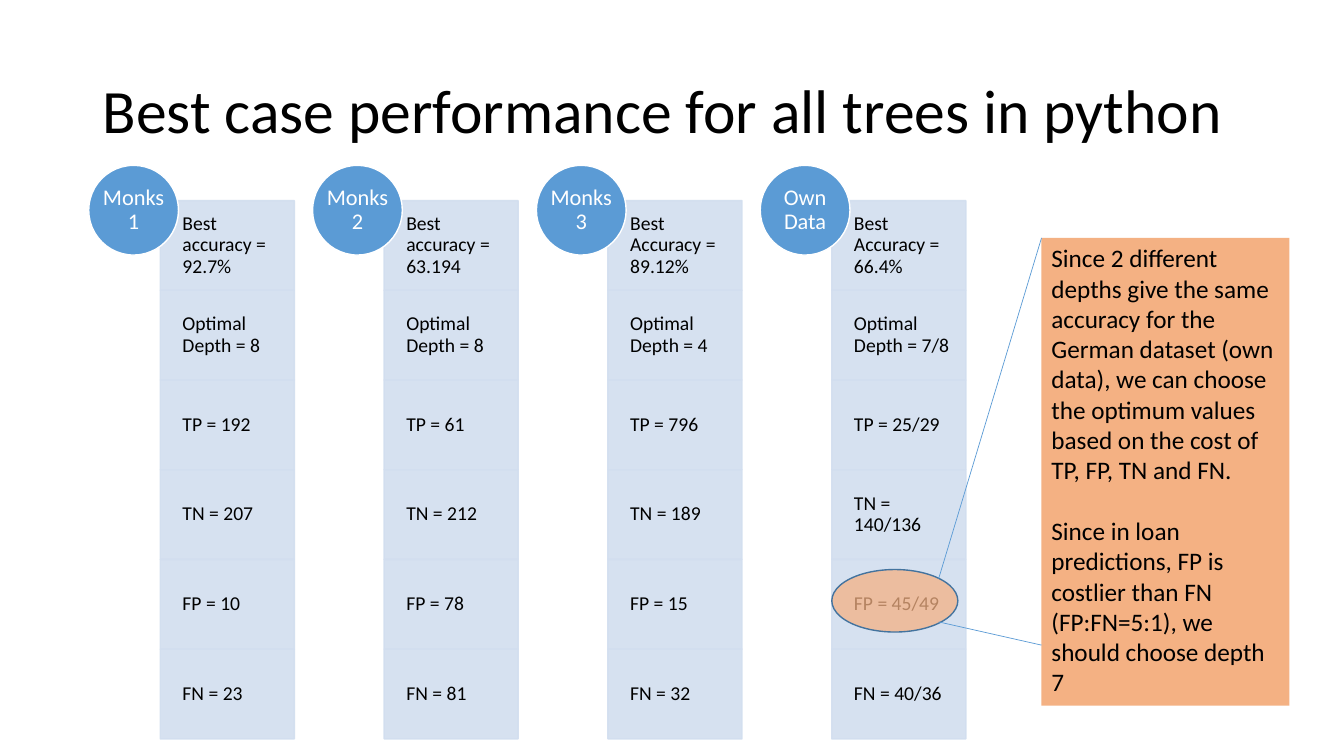
from lxml.etree import SubElement
from pptx import Presentation
from pptx.dml.color import RGBColor
from pptx.enum.shapes import MSO_CONNECTOR, MSO_SHAPE
from pptx.enum.text import MSO_ANCHOR, MSO_AUTO_SIZE, PP_ALIGN
from pptx.oxml.ns import qn
from pptx.util import Inches, Pt

BLACK = RGBColor(0x00, 0x00, 0x00)
WHITE = RGBColor(0xFF, 0xFF, 0xFF)
BLUE = RGBColor(0x5B, 0x9B, 0xD5)
DARK_BLUE = RGBColor(0x43, 0x73, 0x9E)
PALE_BLUE = RGBColor(0xD2, 0xDE, 0xEF)
ORANGE = RGBColor(0xF4, 0xB1, 0x83)

FONT = "Calibri"
GRID_LEFT, GRID_TOP = 1.59, 1.99
COLUMN_PITCH, CELL_WIDTH, ROW_HEIGHT = 2.22, 1.33, 0.89
CIRCLE_SIZE, CIRCLE_SHIFT_LEFT, CIRCLE_SHIFT_UP = 0.89, 0.71, 0.35
NOTE_LEFT, NOTE_TOP, NOTE_WIDTH, NOTE_HEIGHT = 10.33, 2.36, 2.46, 4.64

RESULTS = {
    "Monks 1": ["Best accuracy = 92.7%", "Optimal Depth = 8",
                "TP = 192", "TN = 207", "FP = 10", "FN = 23"],
    "Monks 2": ["Best accuracy = 63.194", "Optimal Depth = 8",
                "TP = 61", "TN = 212", "FP = 78", "FN = 81"],
    "Monks 3": ["Best Accuracy = 89.12%", "Optimal Depth = 4",
                "TP = 796", "TN = 189", "FP = 15", "FN = 32"],
    "Own Data": ["Best Accuracy = 66.4%", "Optimal Depth = 7/8",
                 "TP = 25/29", "TN = 140/136", "FP = 45/49", "FN = 40/36"],
}
NOTE = [
    "Since 2 different depths give the same accuracy for the German dataset "
    "(own data), we can choose the optimum values based on the cost of "
    "TP, FP, TN and FN.",
    "Since in loan predictions, FP is costlier than FN (FP:FN=5:1), "
    "we should choose depth 7",
]


def write(shape, texts, size, color=BLACK, align=PP_ALIGN.LEFT,
          anchor=MSO_ANCHOR.MIDDLE, insets=(0.1, 0.05, 0.1, 0.05),
          line_spacing=0.9, gap=0):
    frame = shape.text_frame
    frame.word_wrap = True
    frame.vertical_anchor = anchor
    (frame.margin_left, frame.margin_top,
     frame.margin_right, frame.margin_bottom) = map(Inches, insets)
    for index, text in enumerate(texts):
        paragraph = frame.add_paragraph() if index else frame.paragraphs[0]
        paragraph.alignment = align
        paragraph.line_spacing = line_spacing
        paragraph.space_before = Pt(gap if index else 0)
        run = paragraph.add_run()
        run.text = text
        run.font.name = FONT
        run.font.size = Pt(size)
        run.font.color.rgb = color


def set_opacity(shape, percent):
    for color in shape.fill._xPr.iter(qn("a:srgbClr")):
        SubElement(color, qn("a:alpha")).set("val", str(percent * 1000))


def add_box(slide, kind, left, top, width, height, fill, line=None):
    shape = slide.shapes.add_shape(
        kind, Inches(left), Inches(top), Inches(width), Inches(height))
    shape.shadow.inherit = False
    shape.fill.solid()
    shape.fill.fore_color.rgb = fill
    if line is None:
        shape.line.fill.background()
    else:
        shape.line.color.rgb = line
        shape.line.width = Pt(1)
    return shape


def add_title(slide, text):
    title = slide.shapes.add_textbox(
        Inches(0.92), Inches(0.4), Inches(11.5), Inches(1.45))
    write(title, [text], 44)


def add_result_column(slide, column, name, values):
    left = GRID_LEFT + column * COLUMN_PITCH
    for row, value in enumerate(values):
        cell = add_box(slide, MSO_SHAPE.RECTANGLE, left, GRID_TOP + row * ROW_HEIGHT,
                       CELL_WIDTH, ROW_HEIGHT, PALE_BLUE, PALE_BLUE)
        set_opacity(cell, 90)
        write(cell, [value], 14, insets=(0.22, 0.11, 0.11, 0.11))
    circle = add_box(slide, MSO_SHAPE.OVAL, left - CIRCLE_SHIFT_LEFT,
                     GRID_TOP - CIRCLE_SHIFT_UP, CIRCLE_SIZE, CIRCLE_SIZE, BLUE, WHITE)
    write(circle, [name], 16, WHITE, PP_ALIGN.CENTER, insets=(0, 0, 0, 0))


def add_note(slide):
    note = add_box(slide, MSO_SHAPE.RECTANGLE, NOTE_LEFT, NOTE_TOP,
                   NOTE_WIDTH, NOTE_HEIGHT, ORANGE)
    write(note, NOTE, 18, anchor=MSO_ANCHOR.TOP, line_spacing=1.0, gap=22)
    note.text_frame.auto_size = MSO_AUTO_SIZE.SHAPE_TO_FIT_TEXT


def add_callout_line(slide, start, end):
    connector = slide.shapes.add_connector(
        MSO_CONNECTOR.STRAIGHT, *map(Inches, start + end))
    connector.line.color.rgb = BLUE
    connector.line.width = Pt(0.5)
    SubElement(connector._element.spPr, qn("a:effectLst"))


def main():
    presentation = Presentation()
    presentation.slide_width = Inches(13.33)
    presentation.slide_height = Inches(7.5)
    slide = presentation.slides.add_slide(presentation.slide_layouts[6])
    add_title(slide, "Best case performance for all trees in python")
    for column, (name, values) in enumerate(RESULTS.items()):
        add_result_column(slide, column, name, values)
    add_note(slide)
    highlight = add_box(slide, MSO_SHAPE.OVAL, GRID_LEFT + 3 * COLUMN_PITCH, 5.65,
                        1.25, 0.62, ORANGE, DARK_BLUE)
    highlight_color = highlight.fill._xPr.find(qn("a:solidFill")).find(qn("a:srgbClr"))
    SubElement(highlight_color, qn("a:alpha")).set("val", "74000")
    add_callout_line(slide, (9.31, 5.74), (NOTE_LEFT, NOTE_TOP))
    add_callout_line(slide, (9.31, 6.17), (NOTE_LEFT, 6.4))
    presentation.save("out.pptx")


main()
